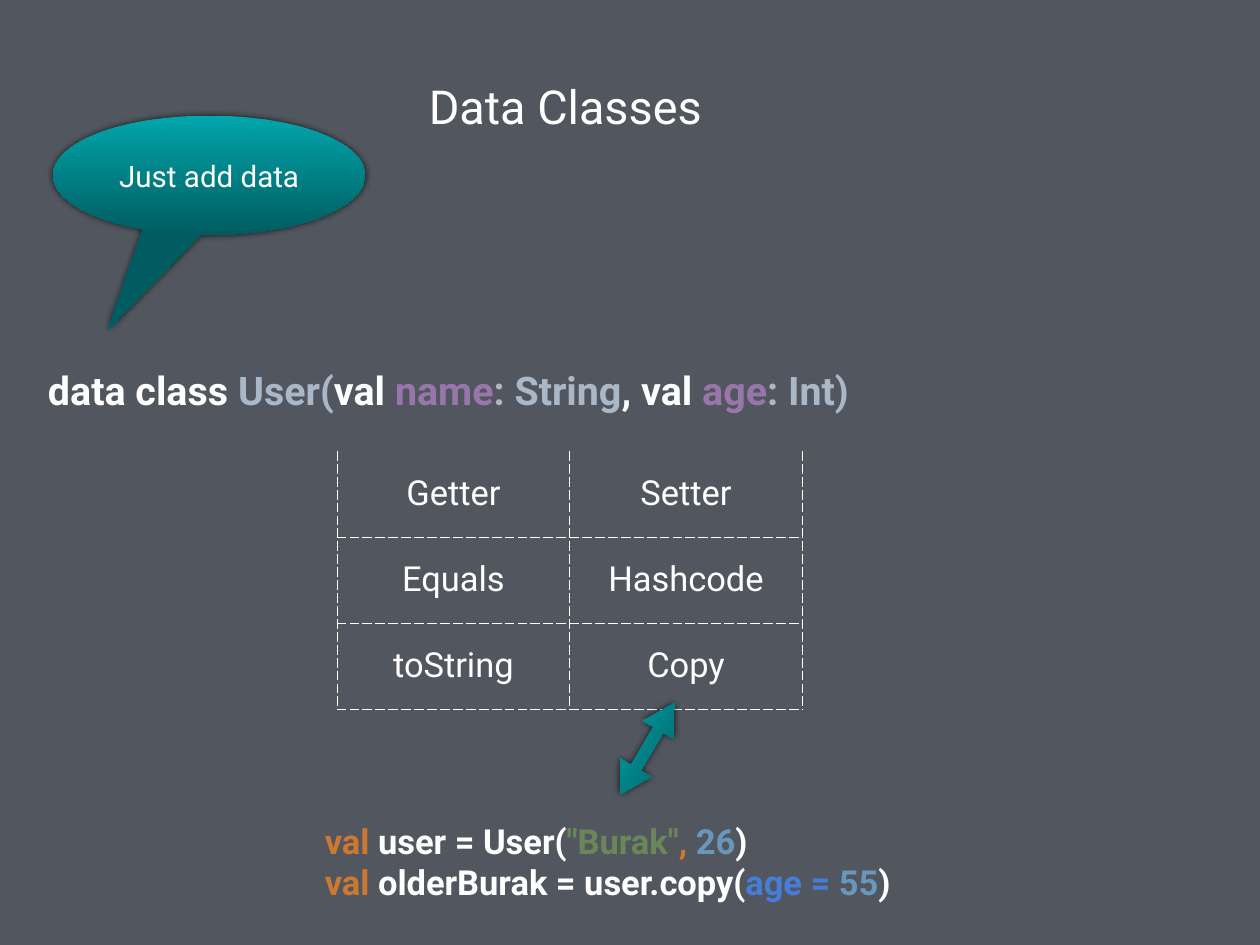
from dataclasses import dataclass

from lxml.etree import SubElement
from pptx import Presentation
from pptx.dml.color import RGBColor
from pptx.enum.shapes import MSO_SHAPE
from pptx.enum.text import MSO_ANCHOR, MSO_AUTO_SIZE, PP_ALIGN
from pptx.oxml.ns import qn
from pptx.util import Pt


@dataclass(frozen=True)
class Theme:
    font: str = "Roboto"
    background: str = "52575F"
    white: str = "FFFFFF"
    plain: str = "A9B7C6"
    member: str = "9876AA"
    keyword: str = "CC7831"
    string: str = "6A8759"
    number: str = "6897BB"
    argument: str = "467CDA"
    teal: str = "00A6AC"
    dark_teal: str = "005C60"
    shadow: str = "000000"
    title_size: int = 38
    class_size: int = 32
    body_size: int = 28
    callout_size: int = 24
    inset: int = 4


THEME = Theme()


@dataclass(frozen=True)
class Box:
    left: float
    top: float
    width: float
    height: float

    def lengths(self):
        return [Pt(n) for n in (self.left, self.top, self.width, self.height)]


def write_text(frame, lines, size, align=PP_ALIGN.CENTER, bold=False):
    frame.word_wrap = True
    frame.auto_size = MSO_AUTO_SIZE.NONE
    frame.vertical_anchor = MSO_ANCHOR.MIDDLE
    frame.margin_left = frame.margin_right = Pt(THEME.inset)
    frame.margin_top = frame.margin_bottom = Pt(THEME.inset)
    for index, spans in enumerate(lines):
        para = frame.paragraphs[0] if index == 0 else frame.add_paragraph()
        para.alignment = align
        for text, color in spans:
            span = para.add_run()
            span.text = text
            span.font.name = THEME.font
            span.font.size = Pt(size)
            span.font.bold = bold
            span.font.color.rgb = RGBColor.from_string(color)


def add_title(page, box, text):
    title = page.shapes.title
    title.left, title.top, title.width, title.height = box.lengths()
    write_text(title.text_frame, [[(text, THEME.white)]], size=THEME.title_size)


def add_code(page, box, lines, size):
    code = page.shapes.add_textbox(*box.lengths())
    write_text(code.text_frame, lines, size=size, align=PP_ALIGN.LEFT, bold=True)


def add_teal_shape(page, box, kind, adjustments):
    shape = page.shapes.add_shape(kind, *box.lengths())
    for index, value in enumerate(adjustments):
        shape.adjustments[index] = value
    shape.line.fill.background()
    shape.fill.gradient()
    shape.fill.gradient_angle = 270
    for stop, color in zip(shape.fill.gradient_stops, (THEME.teal, THEME.dark_teal)):
        stop.color.rgb = RGBColor.from_string(color)
    shape.shadow.inherit = False
    effects = shape.element.spPr.find(qn("a:effectLst"))
    shadow = SubElement(effects, qn("a:outerShdw"), blurRad=str(Pt(6)), dist="0",
                        dir=str(315 * 60000), rotWithShape="0")
    color = SubElement(shadow, qn("a:srgbClr"), val=THEME.shadow)
    SubElement(color, qn("a:alpha"), val="80000")
    return shape


def add_callout(page, box, text):
    callout = add_teal_shape(page, box, MSO_SHAPE.OVAL_CALLOUT, (-0.324, 1.292))
    write_text(callout.text_frame, [[(text, THEME.white)]], size=THEME.callout_size)


def add_arrow(page, box, rotation):
    arrow = add_teal_shape(page, box, MSO_SHAPE.LEFT_RIGHT_ARROW, (0.32, 0.868))
    arrow.rotation = rotation


def add_border(cell, side, visible):
    line = SubElement(cell._tc.get_or_add_tcPr(), qn(f"a:ln{side}"), w=str(Pt(1)))
    if not visible:
        SubElement(line, qn("a:noFill"))
        return
    fill = SubElement(line, qn("a:solidFill"))
    SubElement(fill, qn("a:srgbClr"), val=THEME.white)
    SubElement(line, qn("a:prstDash"), val="dash")


def add_method_table(page, box, rows):
    frame = page.shapes.add_table(len(rows), len(rows[0]), *box.lengths())
    table = frame.table
    table.first_row = table.horz_banding = False
    for column in table.columns:
        column.width = Pt(box.width / len(rows[0]))
    for row_index, names in enumerate(rows):
        table.rows[row_index].height = Pt(box.height / len(rows))
        for column_index, name in enumerate(names):
            cell = table.cell(row_index, column_index)
            for side in "LRTB":
                add_border(cell, side, visible=side != "T" or row_index > 0)
            cell.fill.background()
            write_text(cell.text_frame, [[(name, THEME.white)]], size=THEME.body_size)
            cell.vertical_anchor = MSO_ANCHOR.MIDDLE
            cell.margin_left = cell.margin_right = Pt(THEME.inset)
            cell.margin_top = cell.margin_bottom = Pt(THEME.inset)


def build_page(deck):
    page = deck.slides.add_slide(deck.slide_layouts[5])
    page.background.fill.solid()
    page.background.fill.fore_color.rgb = RGBColor.from_string(THEME.background)

    class_line = [
        ("data class ", THEME.white), ("User(", THEME.plain),
        ("val ", THEME.white), ("name", THEME.member), (": String", THEME.plain),
        (", val ", THEME.white), ("age", THEME.member), (": Int)", THEME.plain),
    ]
    usage_lines = [
        [("val ", THEME.keyword), ("user = User(", THEME.white),
         ('"Burak"', THEME.string), (", ", THEME.keyword),
         ("26", THEME.number), (")", THEME.white)],
        [("val ", THEME.keyword), ("olderBurak = user.copy(", THEME.white),
         ("age = ", THEME.argument), ("55", THEME.number), (")", THEME.white)],
    ]
    methods = [("Getter", "Setter"), ("Equals", "Hashcode"), ("toString", "Copy")]

    add_title(page, Box(342, 59, 235, 54), "Data Classes")
    add_code(page, Box(35, 275, 954, 84), [class_line], size=THEME.class_size)
    add_callout(page, Box(43, 94, 254, 97), "Just add data")
    add_method_table(page, Box(274, 366.5, 378, 210), methods)
    add_code(page, Box(260, 661, 504, 78), usage_lines, size=THEME.body_size)
    add_arrow(page, Box(483, 594, 86, 29), rotation=300.5)


def main():
    deck = Presentation()
    deck.slide_width, deck.slide_height = Pt(1024), Pt(768)
    build_page(deck)
    deck.save("out.pptx")


if __name__ == "__main__":
    main()
